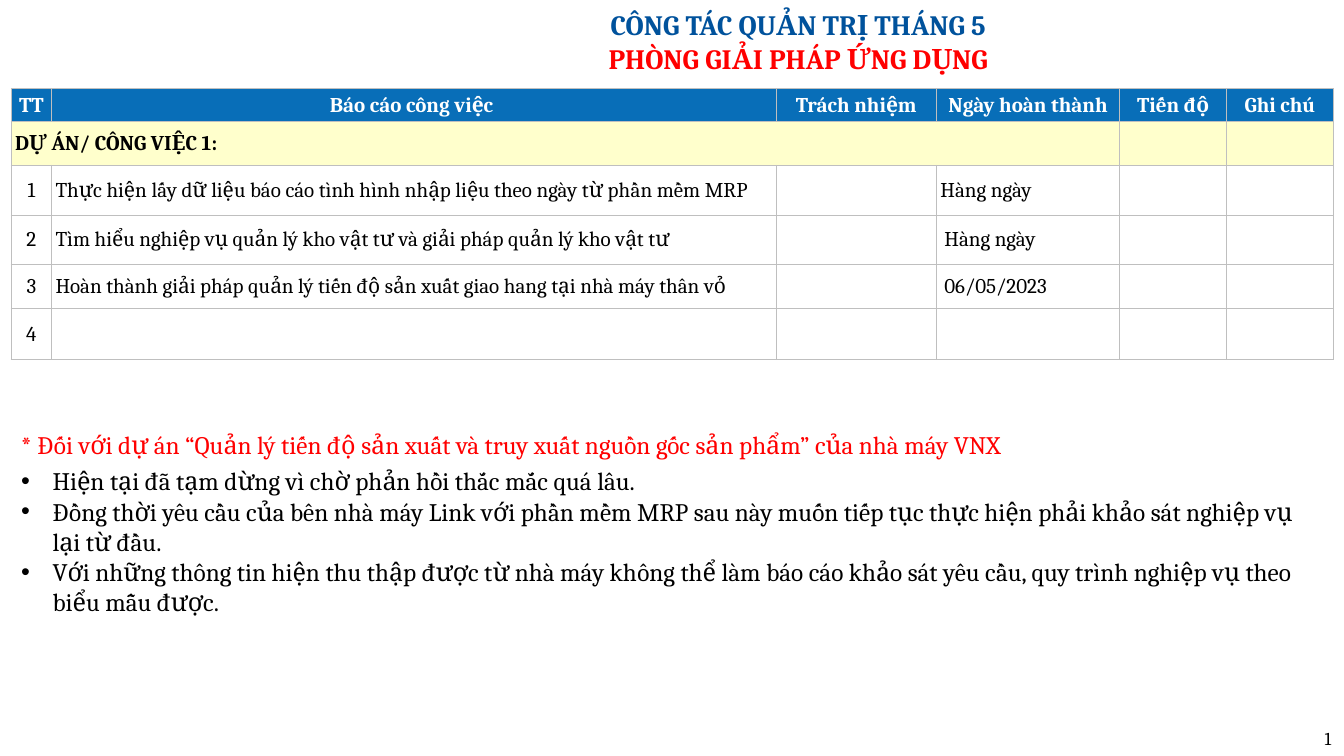
from lxml import etree
from pptx import Presentation
from pptx.dml.color import RGBColor
from pptx.enum import text as t
from pptx.oxml import ns
from pptx.util import Cm, Pt

NAVY = RGBColor(0x00, 0x52, 0x9C)
BLUE = RGBColor(0x08, 0x6E, 0xB8)
CREAM = RGBColor(0xFF, 0xFF, 0xCC)
RED = RGBColor(0xFF, 0x00, 0x00)
BLACK = RGBColor(0x00, 0x00, 0x00)
WHITE = RGBColor(0xFF, 0xFF, 0xFF)
GREY = RGBColor(0xBF, 0xBF, 0xBF)
FONT = "Cambria"

TITLE = [("CÔNG TÁC QUẢN TRỊ THÁNG 5", NAVY), ("PHÒNG GIẢI PHÁP ỨNG DỤNG", RED)]
HEADS = ["TT", "Báo cáo công việc ", "Trách nhiệm", "Ngày hoàn thành", "Tiến độ", "Ghi chú"]
GROUP = "DỰ ÁN/ CÔNG VIỆC 1:"
# task, due date, side inset of the due date in cm
TASKS = [
    ("Thực hiện lấy dữ liệu báo cáo tình hình nhập liệu theo ngày từ phần mềm MRP",
     "Hàng ngày", 0.1),
    ("Tìm hiểu nghiệp vụ quản lý kho vật tư và giải pháp quản lý kho vật tư",
     "Hàng ngày", 0.2),
    ("Hoàn thành giải pháp quản lý tiến độ sản xuất giao hang tại nhà máy thân vỏ",
     "06/05/2023", 0.2),
    ("", "", 0.2),
]
WIDTHS = [1.02, 18.26, 4.04, 4.62, 2.69, 2.69]
HEIGHTS = [0.82, 1.1, 1.25, 1.25, 1.1, 1.25]
NOTE = "* Đối với dự án “Quản lý tiến độ sản xuất và truy xuất nguồn gốc sản phẩm” của nhà máy VNX"
POINTS = [
    "Hiện tại đã tạm dừng vì chờ phản hồi thắc mắc quá lâu.",
    "Đồng thời yêu cầu của bên nhà máy Link với phần mềm MRP sau này muốn tiếp tục "
    "thực hiện phải khảo sát nghiệp vụ lại từ đầu.",
    "Với những thông tin hiện thu thập được từ nhà máy không thể làm báo cáo khảo sát "
    "yêu cầu, quy trình nghiệp vụ theo biểu mẫu được.",
]
LEFT, MID, JUST, RIGHT = (t.PP_ALIGN.LEFT, t.PP_ALIGN.CENTER,
                          t.PP_ALIGN.JUSTIFY, t.PP_ALIGN.RIGHT)


def place(shape, *box):
    shape.left, shape.top, shape.width, shape.height = (Cm(n) for n in box)


def write(para, words, size, color, bold=False):
    run = para.add_run()
    run.text = words
    font = run.font
    font.name, font.size, font.bold = FONT, Pt(size), bold
    font.color.rgb = color


def edge(cell):
    """Draw a thin grey line on all four sides of a cell."""
    props = cell._tc.get_or_add_tcPr()
    for side in ("a:lnL", "a:lnR", "a:lnT", "a:lnB"):
        line = etree.SubElement(props, ns.qn(side), w=str(Pt(1)))
        fill = etree.SubElement(line, ns.qn("a:solidFill"))
        etree.SubElement(fill, ns.qn("a:srgbClr"), val=str(GREY))


def fill_cell(cell, words, align, color=BLACK, bold=False, side=0.1, top=0.25):
    cell.vertical_anchor = t.MSO_ANCHOR.MIDDLE
    cell.margin_left = cell.margin_right = Cm(side)
    cell.margin_top = cell.margin_bottom = Cm(top)
    para = cell.text_frame.paragraphs[0]
    para.alignment = align
    if words:
        write(para, words, 15, color, bold)


def add_tasks(slide):
    frame = slide.shapes.add_table(len(HEIGHTS), len(WIDTHS), Cm(0.28), Cm(2.24),
                                   Cm(sum(WIDTHS)), Cm(sum(HEIGHTS)))
    table = frame.table
    for col, width in zip(table.columns, WIDTHS):
        col.width = Cm(width)
    for r, (row, height) in enumerate(zip(table.rows, HEIGHTS)):
        row.height = Cm(height)
        for cell in row.cells:
            edge(cell)
            cell.fill.solid()
            cell.fill.fore_color.rgb = {0: BLUE, 1: CREAM}.get(r, WHITE)
    for c, head in enumerate(HEADS):
        fill_cell(table.cell(0, c), head, MID, WHITE, True, top=0.1)
    table.cell(1, 0).merge(table.cell(1, 3))
    fill_cell(table.cell(1, 0), GROUP, LEFT, bold=True)
    for n, (task, due, side) in enumerate(TASKS, 1):
        fill_cell(table.cell(n + 1, 0), str(n), MID)
        fill_cell(table.cell(n + 1, 1), task, JUST)
        fill_cell(table.cell(n + 1, 3), due, JUST, side=side)


def add_number(slide):
    """Put a live slide number in the lower right corner."""
    box = slide.shapes.add_textbox(Cm(30.73), Cm(18.19), Cm(3.12), Cm(0.86))
    frame = box.text_frame
    frame.word_wrap = True
    frame.margin_left = frame.margin_right = Cm(0.3)
    frame.margin_top = frame.margin_bottom = Cm(0.15)
    para = frame.paragraphs[0]
    para.alignment = RIGHT
    write(para, "1", 13, BLACK)
    run = para.runs[0]._r
    run.tag = ns.qn("a:fld")
    run.set("id", "{B6F15528-21DE-4FAA-801E-634DDDAF4B2B}")
    run.set("type", "slidenum")


def main():
    deck = Presentation()
    deck.slide_width, deck.slide_height = Cm(33.87), Cm(19.05)
    slide = deck.slides.add_slide(deck.slide_layouts[1])
    title, body = slide.placeholders

    place(title, 6.38, 0, 27.48, 2.08)
    title.text_frame.vertical_anchor = t.MSO_ANCHOR.MIDDLE
    para = title.text_frame.paragraphs[0]
    para.alignment = MID
    for i, (words, color) in enumerate(TITLE):
        if i:
            para.add_line_break()
        write(para, words, 20, color, True)

    add_tasks(slide)

    place(body, 0.28, 11.61, 32.97, 4.11)
    frame = body.text_frame
    frame.auto_size = t.MSO_AUTO_SIZE.NONE
    for i, point in enumerate(POINTS):
        para = frame.add_paragraph() if i else frame.paragraphs[0]
        para.space_before = Pt(0)
        props = para._p.get_or_add_pPr()
        props.set("marL", str(Cm(0.79)))
        props.set("indent", str(-Cm(0.79)))
        write(para, point, 18, BLACK)

    note = slide.shapes.add_textbox(Cm(0.28), Cm(10.69), Cm(26.26), Cm(1.02))
    note.text_frame.word_wrap = True
    write(note.text_frame.paragraphs[0], NOTE, 18, RED)
    add_number(slide)
    deck.save("out.pptx")


if __name__ == "__main__":
    main()
